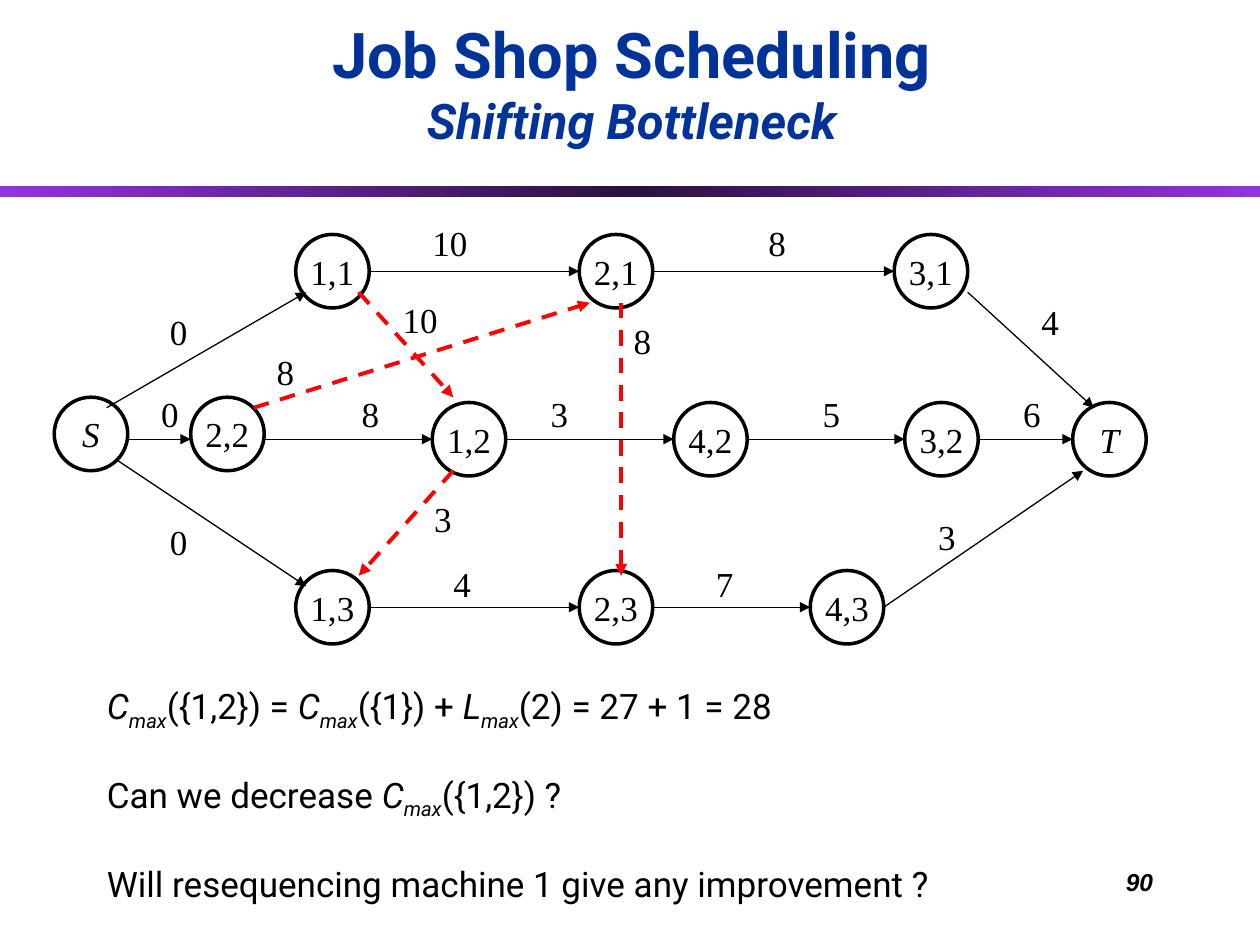
from lxml import etree
from pptx import Presentation
from pptx.dml.color import RGBColor
from pptx.enum import dml, shapes, text
from pptx.oxml import ns
from pptx.util import Pt

BLACK = RGBColor(0, 0, 0)
RED = RGBColor(255, 0, 0)
NAVY = RGBColor(0, 0x33, 0x99)
VIOLET = RGBColor(0x92, 0x34, 0xDB)
PLUM = RGBColor(0x2B, 0x10, 0x40)
SERIF, SANS = "Times New Roman", "Roboto"
SIDE = 42

NODES = {
    "S": (31, 227), "2,2": (109, 227), "1,2": (247, 230),
    "4,2": (385, 230), "3,2": (517, 230), "T": (613, 230),
    "1,1": (169, 134), "2,1": (331, 134), "3,1": (511, 134),
    "1,3": (169, 326), "2,3": (331, 326), "4,3": (463, 326),
}
CHAINS = [
    (155, ["1,1", "2,1", "3,1"]),
    (251, ["S", "2,2", "1,2", "4,2", "3,2", "T"]),
    (347, ["1,3", "2,3", "4,3"]),
]
SLANTS = [(61, 233, 175, 167), (553, 167, 625, 233),
          (67, 263, 175, 335), (505, 347, 619, 269)]
DASHES = [(205, 167, 259, 227), (259, 269, 205, 329),
          (145, 233, 337, 173), (355, 173, 355, 329)]
COSTS = [
    ("10", 240, 123), ("8", 432, 123), ("0", 90, 174), ("4", 588, 168),
    ("0", 85, 221), ("8", 199.5, 221), ("3", 307.5, 221), ("5", 463, 221),
    ("6", 577.5, 221), ("0", 90, 294), ("4", 252, 318), ("7", 402, 318),
    ("3", 529, 291), ("10", 223, 167), ("3", 241, 281), ("8", 151, 197),
    ("8", 355, 179),
]
NOTES = [
    [("C", "var"), ("max", "sub"), ("({1,2}) = ", ""), ("C", "var"),
     ("max", "sub"), ("({1}) + ", ""), ("L", "var"), ("max", "sub"),
     ("(2) = 27 + 1 = 28", "")],
    [("Can we decrease ", ""), ("C", "var"), ("max", "sub"), ("({1,2}) ?", "")],
    [("Will resequencing machine 1 give any improvement ?", "")],
]

prs = Presentation()
prs.slide_width, prs.slide_height = Pt(720), Pt(540)
slide = prs.slides.add_slide(prs.slide_layouts[6])


def add_run(para, words, size=20, face=SERIF, color=BLACK, bold=False, slant=False):
    run = para.add_run()
    run.text = words
    font = run.font
    font.size, font.name, font.bold, font.italic = Pt(size), face, bold, slant
    font.color.rgb = color
    return run


def add_box(x, y, w, h, wrap=True):
    frame = slide.shapes.add_textbox(Pt(x), Pt(y), Pt(w), Pt(h)).text_frame
    frame.word_wrap = wrap
    return frame


def add_arrow(x1, y1, x2, y2, color=BLACK, width=0.75, dash=None):
    arrow = slide.shapes.add_connector(
        shapes.MSO_CONNECTOR.STRAIGHT, Pt(x1), Pt(y1), Pt(x2), Pt(y2))
    line = arrow.line
    line.color.rgb, line.width = color, Pt(width)
    if dash:
        line.dash_style = dash
    props = arrow._element.spPr
    etree.SubElement(line._get_or_add_ln(), ns.qn("a:tailEnd"), type="triangle")
    etree.SubElement(props, ns.qn("a:effectLst"))


def add_node(name, x, y):
    node = slide.shapes.add_shape(
        shapes.MSO_SHAPE.OVAL, Pt(x), Pt(y), Pt(SIDE), Pt(SIDE))
    node.shadow.inherit = False
    node.fill.background()
    node.line.color.rgb, node.line.width = BLACK, Pt(2)
    frame = node.text_frame
    frame.word_wrap = False
    frame.vertical_anchor = text.MSO_ANCHOR.MIDDLE
    para = frame.paragraphs[0]
    para.alignment = text.PP_ALIGN.CENTER
    add_run(para, name, slant=name.isalpha())


def add_band():
    band = slide.shapes.add_shape(
        shapes.MSO_SHAPE.RECTANGLE, 0, Pt(106.5), Pt(720), Pt(6))
    band.shadow.inherit = False
    band.line.fill.background()
    band.fill.gradient()
    band.fill.gradient_angle = 0
    stops = band.fill.gradient_stops
    for stop, place in zip(stops, (0, 1)):
        stop.color.rgb, stop.position = VIOLET, place
    last = band._element.spPr.find(".//" + ns.qn("a:gsLst"))[-1]
    mid = etree.Element(ns.qn("a:gs"), pos="50000")
    etree.SubElement(mid, ns.qn("a:srgbClr"), val=str(PLUM))
    last.addprevious(mid)


add_band()
for name, (x, y) in NODES.items():
    add_node(name, x, y)

for y, chain in CHAINS:
    for start, end in zip(chain, chain[1:]):
        add_arrow(NODES[start][0] + SIDE, y, NODES[end][0], y)
for ends in SLANTS:
    add_arrow(*ends)
for ends in DASHES:
    add_arrow(*ends, RED, 2.25, dml.MSO_LINE.DASH)

for cost, x, y in COSTS:
    frame = add_box(x, y, 14.4 + 10 * len(cost), 31, False)
    add_run(frame.paragraphs[0], cost)

frame = add_box(54, 387.5, 485, 127.5, False)
for i, parts in enumerate(NOTES):
    para = frame.add_paragraph() if i else frame.paragraphs[0]
    if i:
        para.space_before = Pt(23.5)
    for words, kind in parts:
        run = add_run(para, words, face=SANS, slant=bool(kind))
        if kind == "sub":
            run.font._element.set("baseline", "-25000")

frame = add_box(30, 12, 662, 77)
frame.vertical_anchor = text.MSO_ANCHOR.BOTTOM
para = frame.paragraphs[0]
para.alignment = text.PP_ALIGN.CENTER
add_run(para, "Job Shop Scheduling", 36, SANS, NAVY, True)
para.add_line_break()
add_run(para, "Shifting Bottleneck", 28, SANS, NAVY, True, True)

para = add_box(516, 492, 150, 36).paragraphs[0]
para.alignment = text.PP_ALIGN.RIGHT
add_run(para, "90", 14, "Arial", BLACK, True, True)

prs.save("out.pptx")
